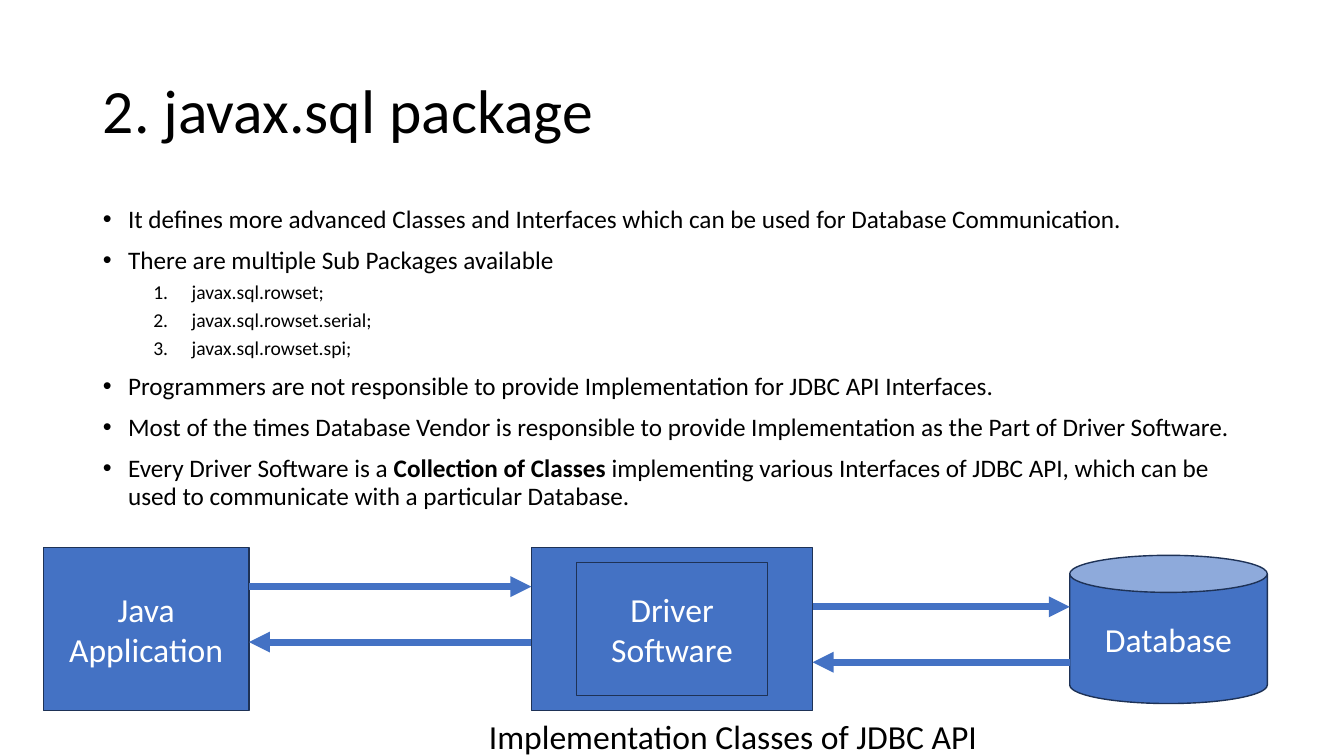
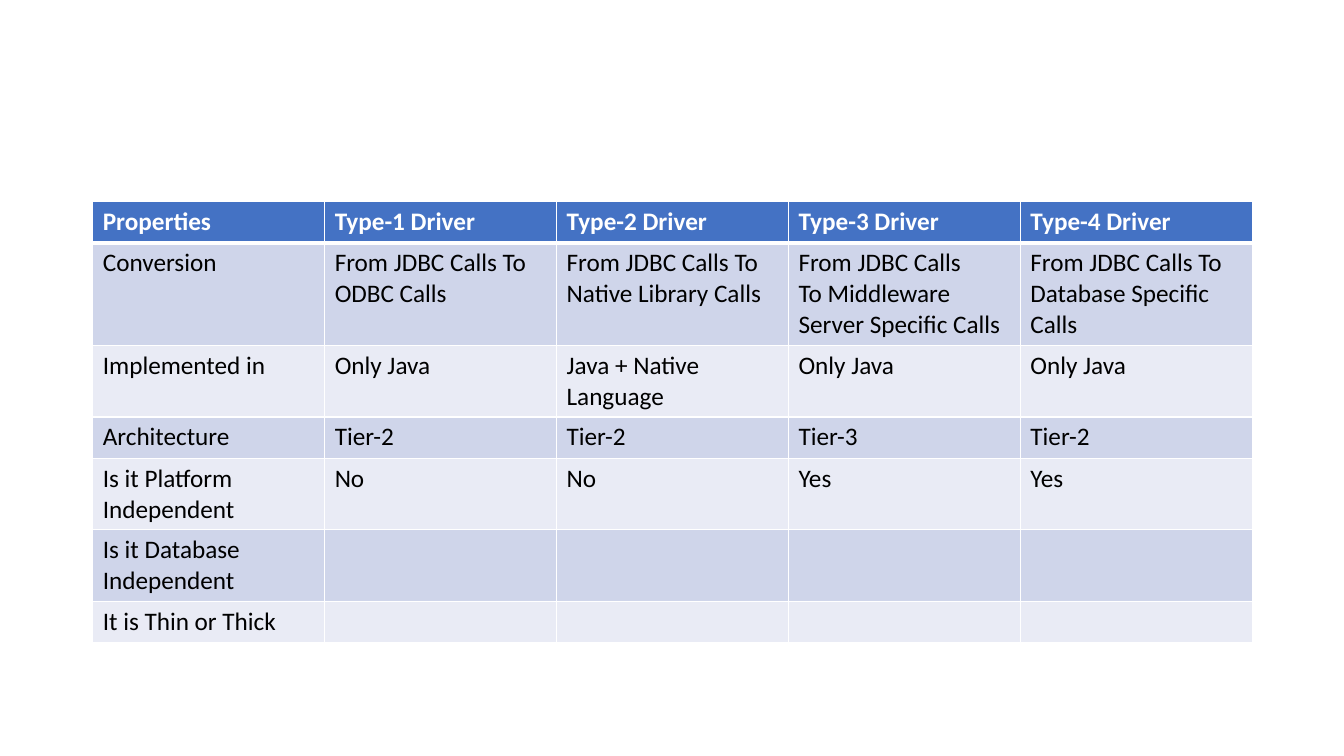
from lxml import etree
from pptx import Presentation
from pptx.dml.color import RGBColor
from pptx.enum.shapes import MSO_CONNECTOR, MSO_SHAPE
from pptx.enum.text import MSO_ANCHOR, MSO_AUTO_SIZE, PP_ALIGN
from pptx.oxml.ns import qn
from pptx.util import Inches, Pt

RECT, CAN = MSO_SHAPE.RECTANGLE, MSO_SHAPE.CAN
STRAIGHT = MSO_CONNECTOR.STRAIGHT
LEFT, CENTER = PP_ALIGN.LEFT, PP_ALIGN.CENTER
TOP, MIDDLE = MSO_ANCHOR.TOP, MSO_ANCHOR.MIDDLE
NO_FIT, GROW = MSO_AUTO_SIZE.NONE, MSO_AUTO_SIZE.SHAPE_TO_FIT_TEXT

# Shared style
FONT = "Calibri"
BLACK, WHITE, BLUE, NAVY = "000000", "FFFFFF", "4472C4", "1E3256"
BANDS = ("CFD5EA", "E9EBF5")
MARGIN, CONTENT_TOP, CONTENT_WIDTH = 0.92, 2, 11.5
# Per list level: text size, space before, left indent, hanging indent
LEVELS = ((18, 10, 0.25, 0.25), (14, 5, 0.88, 0.38))


def color(hex_value):
    return RGBColor.from_string(hex_value)


def apply(target, values):
    for name, value in values.items():
        setattr(target, name, value)


def child(parent, tag, **attributes):
    return etree.SubElement(parent, qn(tag), attributes)


class Deck:
    def __init__(self):
        self.prs = Presentation()
        apply(self.prs, {"slide_width": Inches(13.33), "slide_height": Inches(7.5)})
        self.slide = None

    def new_slide(self, layout):
        self.slide = self.prs.slides.add_slide(self.prs.slide_layouts[layout])

    def add_text(self, paragraph, text, size, ink=BLACK, bold=False):
        """Add text to a paragraph; a newline becomes a line break."""
        for number, line in enumerate(text.split("\n")):
            if number:
                paragraph.add_line_break()
            run = paragraph.add_run()
            run.text = line
            apply(run.font, {"name": FONT, "size": Pt(size), "bold": bold})
            run.font.color.rgb = color(ink)

    def place(self, holder, left, top, width, height, anchor):
        apply(holder, {"left": Inches(left), "top": Inches(top),
                       "width": Inches(width), "height": Inches(height)})
        apply(holder.text_frame, {"vertical_anchor": anchor, "word_wrap": True,
                                  "auto_size": NO_FIT})

    def title(self, text):
        heading = self.slide.shapes.title
        self.place(heading, MARGIN, 0.4, CONTENT_WIDTH, 1.45, MIDDLE)
        paragraph = heading.text_frame.paragraphs[0]
        apply(paragraph, {"alignment": LEFT, "line_spacing": 0.9})
        self.add_text(paragraph, text, 44)

    def points(self, items):
        """Fill the body; each item is a level and its runs, odd runs bold."""
        body = self.slide.placeholders[1]
        self.place(body, MARGIN, CONTENT_TOP, CONTENT_WIDTH, 4.76, TOP)
        frame = body.text_frame
        for number, (level, *runs) in enumerate(items):
            paragraph = frame.add_paragraph() if number else frame.paragraphs[0]
            size, before, indent, hanging = LEVELS[level]
            properties = paragraph._p.get_or_add_pPr()
            properties.set("marL", str(Inches(indent)))
            properties.set("indent", str(-Inches(hanging)))
            if level:
                child(properties, "a:buFont", typeface=FONT)
                child(properties, "a:buAutoNum", type="arabicPeriod")
            else:
                child(properties, "a:buFont", typeface="Arial")
                child(properties, "a:buChar", char="•")
            apply(paragraph, {"level": level, "alignment": LEFT, "line_spacing": 0.9,
                              "space_before": Pt(before if number else 0)})
            for position, text in enumerate(runs):
                self.add_text(paragraph, text, size, bold=position % 2 == 1)

    def block(self, kind, left, top, width, height, label=""):
        shape = self.slide.shapes.add_shape(
            kind, Inches(left), Inches(top), Inches(width), Inches(height))
        shape.shadow.inherit = False
        shape.fill.solid()
        shape.fill.fore_color.rgb = color(BLUE)
        shape.line.color.rgb = color(NAVY)
        shape.line.width = Pt(1)
        if label:
            apply(shape.text_frame, {"vertical_anchor": MIDDLE, "word_wrap": True})
            paragraph = shape.text_frame.paragraphs[0]
            paragraph.alignment = CENTER
            self.add_text(paragraph, label, 24, WHITE)

    def arrow(self, start, end, y):
        link = self.slide.shapes.add_connector(
            STRAIGHT, Inches(start), Inches(y), Inches(end), Inches(y))
        link.line.color.rgb = color(BLUE)
        link.line.width = Pt(5)
        properties = link._element.spPr
        child(properties.get_or_add_ln(), "a:tailEnd", type="triangle")
        child(properties, "a:effectLst")

    def caption(self, text, left, top, width, height):
        box = self.slide.shapes.add_textbox(
            Inches(left), Inches(top), Inches(width), Inches(height))
        apply(box.text_frame, {"word_wrap": True, "auto_size": GROW})
        paragraph = box.text_frame.paragraphs[0]
        paragraph.alignment = CENTER
        self.add_text(paragraph, text, 24)

    def borders(self, cell, widths):
        properties = cell._tc.get_or_add_tcPr()
        for side, width in widths.items():
            edge = child(properties, "a:ln" + side, w=str(Pt(width)))
            child(child(edge, "a:solidFill"), "a:srgbClr", val=WHITE)

    def table(self, rows, row_height):
        columns = len(rows[0])
        grid = self.slide.shapes.add_table(
            len(rows), columns, Inches(MARGIN), Inches(CONTENT_TOP),
            Inches(CONTENT_WIDTH), Inches(row_height * len(rows))).table
        for column in grid.columns:
            column.width = Inches(CONTENT_WIDTH / columns)
        for r, row in enumerate(rows):
            header = r == 0
            for c in range(columns):
                cell = grid.cell(r, c)
                self.borders(cell, {"L": 1, "R": 1, "T": 3 if r == 1 else 1,
                                    "B": 3 if header else 1})
                cell.fill.solid()
                cell.fill.fore_color.rgb = color(BLUE if header else BANDS[(r - 1) % 2])
                if c < len(row):
                    self.add_text(cell.text_frame.paragraphs[0], row[c], 18,
                                  WHITE if header else BLACK, header)


def package_slide(deck):
    deck.new_slide(1)
    deck.title("2. javax.sql package")
    deck.points([
        (0, "It defines more advanced Classes and Interfaces which can be used "
            "for Database Communication."),
        (0, "There are multiple Sub Packages available"),
        (1, "javax.sql.rowset;"),
        (1, "javax.sql.rowset.serial;"),
        (1, "javax.sql.rowset.spi;"),
        (0, "Programmers are not responsible to provide Implementation for "
            "JDBC API Interfaces."),
        (0, "Most of the times Database Vendor is responsible to provide "
            "Implementation as the Part of Driver Software."),
        (0, "Every Driver Software is a ", "Collection of Classes",
            " implementing various Interfaces of JDBC API, which can be used "
            "to communicate with a particular Database."),
    ])

    # Application, driver and database
    app_left, app_width = 0.43, 2.04
    driver_left, driver_width = 5.27, 2.79
    database_left = 10.61
    deck.block(RECT, app_left, 5.43, app_width, 1.62, "Java Application")
    deck.block(RECT, driver_left, 5.43, driver_width, 1.62)
    deck.block(CAN, database_left, 5.51, 1.96, 1.47, "Database")
    deck.block(RECT, 5.72, 5.58, 1.89, 1.32, "Driver Software")

    # Calls go right, replies come back below them
    app_right, driver_right = app_left + app_width, driver_left + driver_width
    for start, end, call_y in ((app_right, driver_left, 5.82),
                               (driver_right, database_left, 6.02)):
        deck.arrow(start, end, call_y)
        deck.arrow(end, start, call_y + 0.55)
    deck.caption("Implementation Classes of JDBC API", 4.22, 7.05, 6.1, 0.5)


def comparison_slide(deck):
    deck.new_slide(6)
    deck.table([
        ["Properties"] + [f"Type-{number} Driver" for number in range(1, 5)],
        ["Conversion", "From JDBC Calls To ODBC Calls",
         "From JDBC Calls To Native Library Calls",
         "From JDBC Calls\nTo Middleware Server Specific Calls",
         "From JDBC Calls To Database Specific Calls"],
        ["Implemented in", "Only Java", "Java + Native Language", "Only Java", "Only Java"],
        ["Architecture", "Tier-2", "Tier-2", "Tier-3", "Tier-2"],
        ["Is it Platform Independent", "No", "No", "Yes", "Yes"],
        ["Is it Database Independent"],
        ["It is Thin or Thick"],
    ], 0.41)


def main():
    deck = Deck()
    package_slide(deck)
    comparison_slide(deck)
    deck.prs.save("out.pptx")


if __name__ == "__main__":
    main()
